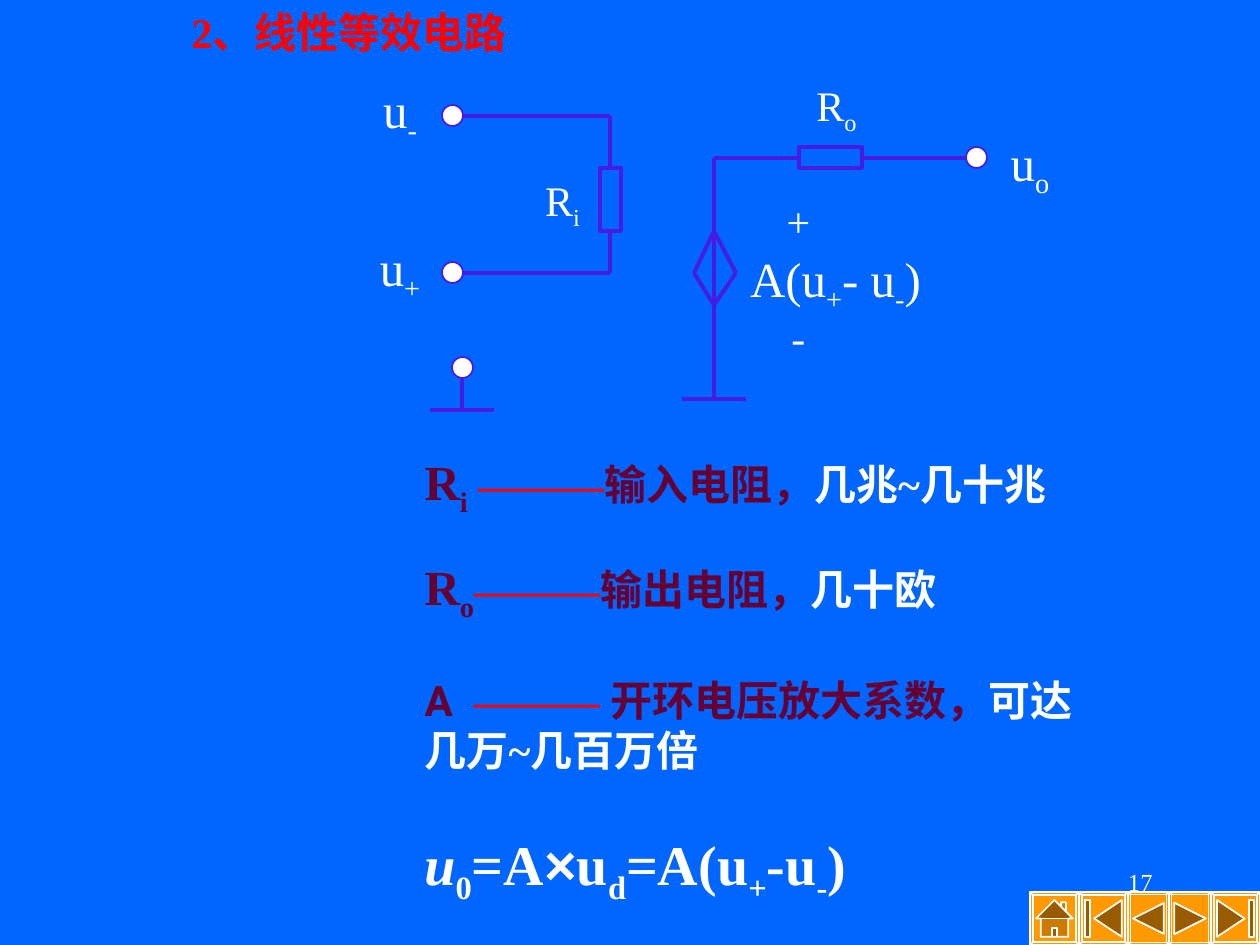
from dataclasses import dataclass
from itertools import accumulate, pairwise

from pptx import Presentation
from pptx import util as u
from pptx.dml.color import RGBColor
from pptx.enum import shapes, text
from pptx.oxml import ns, xmlchemy

KIND = shapes.MSO_SHAPE
ALIGN = text.PP_ALIGN


@dataclass(frozen=True)
class Theme:
    back: str = "0066FF"
    wire: str = "461CE0"
    white: str = "FFFFFF"
    red: str = "FF0000"
    plum: str = "660033"
    button: str = "FF9900"
    serif: str = "Times New Roman"
    sans: str = "Roboto"
    symbol: str = "Arial"
    tiny: int = 14
    small: int = 24
    large: int = 28
    huge: int = 32
    thick: float = 2.25
    thin: float = 1


T = Theme()


def px(n):
    return u.Emu(round(n * 914400 / 126))


def rgb(code):
    return RGBColor.from_string(code)


def add_run(para, words, size=T.small, color=T.white, font=T.serif,
            bold=False, italic=False, sub=False):
    run = para.add_run()
    run.text = words
    f = run.font
    f.size, f.name, f.bold, f.italic = u.Pt(size), font, bold, italic
    f.color.rgb = rgb(color)
    if sub:
        run._r.get_or_add_rPr().set("baseline", "-25000")


def place(shape, x, y, w, h):
    shape.left, shape.top, shape.width, shape.height = map(px, (x, y, w, h))
    frame = shape.text_frame
    frame.word_wrap = True
    frame.auto_size = text.MSO_AUTO_SIZE.NONE
    frame.vertical_anchor = text.MSO_ANCHOR.TOP
    return frame


def add_text(slide, box, align=ALIGN.LEFT):
    """Add an empty text box and return its paragraph."""
    shape = slide.shapes.add_textbox(0, 0, 0, 0)
    para = place(shape, *box).paragraphs[0]
    para.alignment = align
    return para


def add_label(slide, box, parts, size=T.small):
    """Add a centred symbol; every second part is a subscript."""
    para = add_text(slide, box, ALIGN.CENTER)
    for i, part in enumerate(parts):
        add_run(para, part, size, sub=i % 2 == 1)


def add_wire(slide, *points):
    """Join the points in turn with straight lines."""
    for start, end in pairwise(points):
        line = slide.shapes.add_connector(
            shapes.MSO_CONNECTOR.STRAIGHT, *map(px, start + end))
        line.line.color.rgb = rgb(T.wire)
        line.line.width = u.Pt(T.thick)
        line._element.spPr.append(xmlchemy.OxmlElement("a:effectLst"))


def add_part(slide, kind, box, fill, edge, width):
    part = slide.shapes.add_shape(kind, *map(px, box))
    part.shadow.inherit = False
    if fill:
        part.fill.solid()
        part.fill.fore_color.rgb = rgb(fill)
    else:
        part.fill.background()
    part.line.color.rgb = rgb(edge)
    part.line.width = u.Pt(width)
    return part


def add_title(slide):
    para = place(slide.shapes.title, 179, 0, 411, 63).paragraphs[0]
    para.alignment = ALIGN.LEFT
    add_run(para, "2、线性等效电路", color=T.red, bold=True)


def add_terms(slide):
    """Fill the body with the three parameters and their usual values."""
    # symbol, subscript, gap, dash, meaning, value, space before
    rows = [
        ("R", "i", " ", "———", "输入电阻，", "几兆~几十兆", 0),
        ("R", "o", "", "———", "输出电阻，", "几十欧", 31.4),
        ("A  ", "", "", "——— ", "开环电压放大系数，", "可达几万~几百万倍", 29.4),
    ]
    frame = place(slide.placeholders[1], 412, 462, 704, 318)
    for i, (name, sub, gap, dash, sense, value, space) in enumerate(rows):
        para = frame.add_paragraph() if i else frame.paragraphs[0]
        para.line_spacing, para.space_before = u.Pt(28.6), u.Pt(space)
        props = para._p.get_or_add_pPr()
        props.set("marL", "0")
        props.set("indent", "0")
        props.append(props.makeelement(ns.qn("a:buNone"), {}))
        size, font = (T.large, T.serif) if sub else (T.small, T.sans)
        runs = [
            (name, size, T.plum, font, False),
            (sub, size, T.plum, font, True),
            (gap, T.small, T.plum, T.sans, False),
            (dash, T.small, T.red, T.serif, False),
            (sense, T.small, T.plum, T.sans, False),
            (value, T.small, T.white, T.serif, False),
        ]
        for words, size, color, font, low in runs:
            if words:
                add_run(para, words, size, color, font, bold=True, sub=low)


def add_circuit(slide):
    add_wire(slide, (462, 116), (610, 116), (610, 273), (462, 273))
    add_wire(slide, (966, 158), (714, 158), (714, 399))
    add_wire(slide, (462, 368), (462, 410))
    for x, y in [(714, 399), (462, 410)]:
        add_wire(slide, (x - 32, y), (x + 32, y))
    add_wire(slide, (714, 231), (694, 273), (714, 305), (736, 273), (714, 231))
    for box in [(600, 168, 21, 63), (799, 147, 63, 21)]:
        add_part(slide, KIND.RECTANGLE, box, T.back, T.wire, T.thick)
    for x, y in [(966, 147), (442, 262), (452, 357), (442, 105)]:
        add_part(slide, KIND.OVAL, (x, y, 21, 21), T.white, T.wire, T.thin)


def add_labels(slide):
    for x, y, sub in [(515, 168, "i"), (789, 73, "o")]:
        add_label(slide, (x, y, 95, 70), ["R", sub])
    for x, y, sub in [(358, 231, "+"), (358, 73, "-"), (988, 126, "o")]:
        add_label(slide, (x, y, 84, 79), ["u", sub], T.large)
    source = ["A(u", "+", "- u", "-", ")"]
    add_label(slide, (736, 242, 199, 79), source, T.large)
    for y, sign in [(189, "+"), (305, "-")]:
        add_label(slide, (767, y, 63, 63), [sign])


def add_formula(slide):
    para = add_text(slide, (412, 823, 527, 89))
    low = {"sub": True}
    for words, style in [
        ("u", {"italic": True}), ("0", low), ("=A", {}),
        ("×", {"font": T.symbol}), ("u", {}), ("d", low), ("=A(u", {}),
        ("+", low), ("-u", {}), ("-", low), (")", {}),
    ]:
        add_run(para, words, T.huge, bold=True, **style)


def add_buttons(slide):
    kinds = [KIND.ACTION_BUTTON_HOME, KIND.ACTION_BUTTON_BEGINNING,
             KIND.ACTION_BUTTON_BACK_OR_PREVIOUS,
             KIND.ACTION_BUTTON_FORWARD_OR_NEXT, KIND.ACTION_BUTTON_END]
    widths = [49, 49, 41, 42, 49]
    for kind, w, x in zip(kinds, widths, accumulate(widths, initial=1030)):
        box = (x, 892, w, 53)
        add_part(slide, kind, box, T.button, T.white, T.thin)
        rim = add_part(slide, KIND.BEVEL, box, None, T.white, T.thin)
        rim.adjustments[0] = 0.06


def main():
    deck = Presentation()
    deck.slide_width, deck.slide_height = px(1260), px(945)
    slide = deck.slides.add_slide(deck.slide_layouts[1])
    slide.background.fill.solid()
    slide.background.fill.fore_color.rgb = rgb(T.back)
    add_run(add_text(slide, (903, 861, 262, 63), ALIGN.RIGHT), "17", T.tiny)
    add_title(slide)
    add_terms(slide)
    add_circuit(slide)
    add_labels(slide)
    add_buttons(slide)
    add_formula(slide)
    deck.save("out.pptx")


if __name__ == "__main__":
    main()
